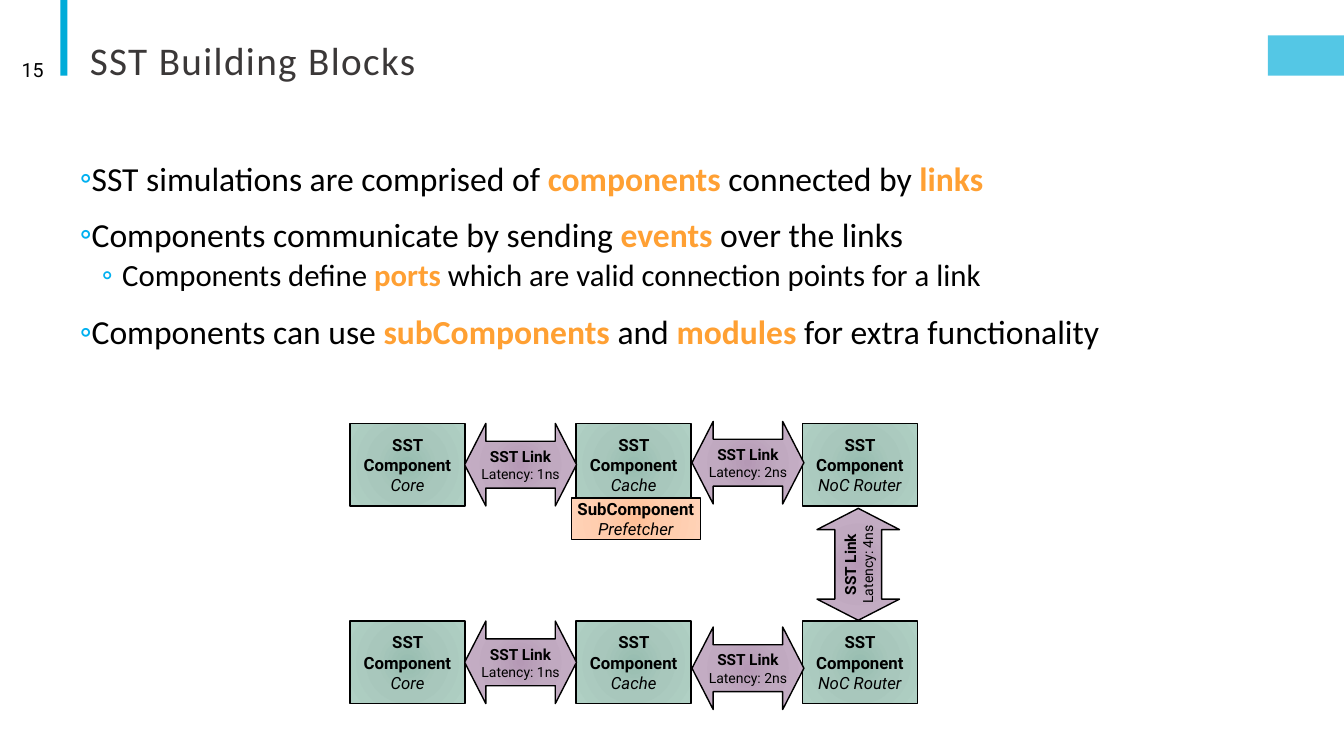
from lxml import etree
from pptx import Presentation
from pptx.dml.color import RGBColor
from pptx.enum.shapes import MSO_SHAPE
from pptx.enum.text import MSO_ANCHOR, MSO_AUTO_SIZE, PP_ALIGN
from pptx.oxml import parse_xml
from pptx.oxml.ns import nsdecls, qn
from pptx.util import Cm, Pt

RECT, ARROW = MSO_SHAPE.RECTANGLE, MSO_SHAPE.LEFT_RIGHT_ARROW
LEFT, CENTER, RIGHT = PP_ALIGN.LEFT, PP_ALIGN.CENTER, PP_ALIGN.RIGHT
TOP, MIDDLE, BOTTOM = MSO_ANCHOR.TOP, MSO_ANCHOR.MIDDLE, MSO_ANCHOR.BOTTOM
NO_AUTOFIT = MSO_AUTO_SIZE.NONE

BLACK = RGBColor(0x00, 0x00, 0x00)
TITLE_GREY = RGBColor(0x3B, 0x38, 0x38)
ACCENT_BLUE = RGBColor(0x00, 0xAC, 0xD9)
BULLET_BLUE = RGBColor(0x00, 0xB0, 0xF0)
KEYWORD_ORANGE = RGBColor(0xFF, 0xA0, 0x33)
# Radial gradients: colours at 0, 45 and 100 percent
GREENS = (RGBColor(0x97, 0xBD, 0xB0), RGBColor(0xA8, 0xC7, 0xBC), RGBColor(0xB0, 0xD0, 0xC4))
PURPLES = (RGBColor(0xB5, 0x99, 0xB5), RGBColor(0xC0, 0xA9, 0xC0), RGBColor(0xC9, 0xB1, 0xC9))
ORANGES = (RGBColor(0xFF, 0xBF, 0x96), RGBColor(0xFF, 0xCC, 0xAC), RGBColor(0xFF, 0xD2, 0xB7))


class SlideBuilder:
    text_font, diagram_font = "Calibri", "Roboto"

    def __init__(self, slide):
        self.slide = slide

    def place(self, item, left, top, width, height):
        item.left, item.top = Cm(left), Cm(top)
        item.width, item.height = Cm(width), Cm(height)

    def style(self, font, name, size, color, bold=False, italic=False):
        font.name, font.size, font.bold, font.italic = name, Pt(size), bold, italic
        font.color.rgb = color

    def title(self, text, *box):
        heading = self.slide.shapes.title
        self.place(heading, *box)
        frame = heading.text_frame
        frame.text = text
        frame.auto_size, frame.vertical_anchor = NO_AUTOFIT, BOTTOM
        line = frame.paragraphs[0]
        line.alignment, line.line_spacing = LEFT, 0.85
        self.style(line.runs[0].font, self.text_font, 28, TITLE_GREY)
        line.runs[0].font._element.set("spc", "100")

    def page_number(self, text, *box):
        frame = self.slide.shapes.add_textbox(*map(Cm, box)).text_frame
        frame.word_wrap, frame.vertical_anchor = True, MIDDLE
        frame.text = text
        frame.paragraphs[0].alignment = RIGHT
        self.style(frame.paragraphs[0].runs[0].font, self.diagram_font, 14, BLACK)

    def bullets(self, items, *box):
        """Items are (level, text); words between asterisks are keywords."""
        body = self.slide.placeholders[1]
        self.place(body, *box)
        frame = body.text_frame
        frame.auto_size, frame.vertical_anchor = NO_AUTOFIT, TOP
        frame.margin_left = frame.margin_right = 0
        for number, (level, text) in enumerate(items):
            line = frame.add_paragraph() if number else frame.paragraphs[0]
            size, indent, before, after = ((24, 0.25, 12, 2), (22, 1.07, 2, 4))[level]
            line.level = level
            props = line._p.get_or_add_pPr()
            props.set("marL", str(Cm(indent)))
            props.set("indent", str(Cm(-0.51)))
            bullet_color = etree.SubElement(props, qn("a:buClr"))
            etree.SubElement(bullet_color, qn("a:srgbClr"), val=str(BULLET_BLUE))
            etree.SubElement(props, qn("a:buFont"), typeface=self.text_font)
            etree.SubElement(props, qn("a:buChar"), char="◦")
            line.line_spacing = 0.9
            line.space_before, line.space_after = Pt(before if number else 0), Pt(after)
            for part, words in enumerate(text.split("*")):
                if words:
                    run = line.add_run()
                    run.text = words
                    keyword = part % 2 == 1
                    color = KEYWORD_ORANGE if keyword else BLACK
                    self.style(run.font, self.text_font, size, color, bold=keyword)

    def accent(self, *box, opacity=100):
        bar = self.slide.shapes.add_shape(RECT, *map(Cm, box))
        bar.shadow.inherit = False
        bar.fill.solid()
        bar.fill.fore_color.rgb = ACCENT_BLUE
        bar.line.fill.background()
        if opacity < 100:
            color = bar._element.spPr.find(".//" + qn("a:srgbClr"))
            etree.SubElement(color, qn("a:alpha"), val=str(opacity * 1000))

    def block(self, kind, box, colors, name, detail, sizes=(12, 12), italic=True, margin=0.25):
        shape = self.slide.shapes.add_shape(kind, *map(Cm, box))
        shape.shadow.inherit = False
        stops = "".join(f'<a:gs pos="{pos}000"><a:srgbClr val="{color}"/></a:gs>'
                        for pos, color in zip((0, 45, 100), colors))
        gradient = parse_xml(
            f'<a:gradFill {nsdecls("a")} rotWithShape="1"><a:gsLst>{stops}</a:gsLst>'
            '<a:path path="circle"><a:fillToRect l="100000" t="100000" r="100000" b="100000"/>'
            '</a:path></a:gradFill>')
        shape._element.spPr.find(qn("a:prstGeom")).addnext(gradient)
        shape.line.color.rgb, shape.line.width = BLACK, Pt(1)
        frame = shape.text_frame
        frame.word_wrap, frame.vertical_anchor = True, MIDDLE
        frame.margin_left = frame.margin_right = Cm(margin)
        frame.text = f"{name}\n{detail}"
        for row, line in enumerate(frame.paragraphs):
            line.alignment = CENTER
            self.style(line.runs[0].font, self.diagram_font, sizes[row], BLACK,
                       bold=row == 0, italic=row == 1 and italic)
        return shape

    def component(self, role, left, top):
        self.block(RECT, (left, top, 2.9, 2.08), GREENS, "SST Component", role)

    def link(self, latency, left, top, rotation=0):
        arrow = self.block(ARROW, (left, top, 2.82, 2.08), PURPLES, "SST Link",
                           f"Latency: {latency}", sizes=(11, 10), italic=False, margin=0)
        arrow.adjustments[0], arrow.adjustments[1] = 0.568, 0.257
        arrow.rotation = rotation


def main():
    deck = Presentation()
    deck.slide_width, deck.slide_height = Cm(33.87), Cm(19.05)
    page = SlideBuilder(deck.slides.add_slide(deck.slide_layouts[1]))

    # Header
    page.accent(1.52, 0, 0.18, 1.91)
    page.accent(31.95, 0.89, 1.92, 1.02, opacity=67)
    page.title("SST Building Blocks", 2.01, 0.66, 27.94, 1.57)
    page.page_number("15", 0.18, 1.24, 1.17, 1.02)

    # Key statements
    page.bullets([
        (0, "SST simulations are comprised of *components* connected by *links*"),
        (0, "Components communicate by sending *events* over the links"),
        (1, "Components define *ports* which are valid connection points for a link"),
        (0, "Components can use *subComponents* and *modules* for extra functionality"),
    ], 2.01, 3.96, 29.97, 12.95)

    # Two rows of components
    first_left, pitch = 8.82, 5.7
    upper_row, lower_row = 10.67, 15.65
    for top in (upper_row, lower_row):
        for column, role in enumerate(("Core", "Cache", "NoC Router")):
            page.component(role, first_left + column * pitch, top)

    # Links along the rows and between the routers
    for top, second_top in ((upper_row, 10.62), (lower_row, 15.8)):
        page.link("1ns", 11.71, top)
        page.link("2ns", 17.44, second_top)
    page.link("4ns", 20.22, 13.18, rotation=270)

    # Prefetcher attached to the upper cache
    page.block(RECT, (14.4, 12.55, 3.25, 1.04), ORANGES, "SubComponent", "Prefetcher",
               margin=0.13)

    deck.save("out.pptx")


if __name__ == "__main__":
    main()
